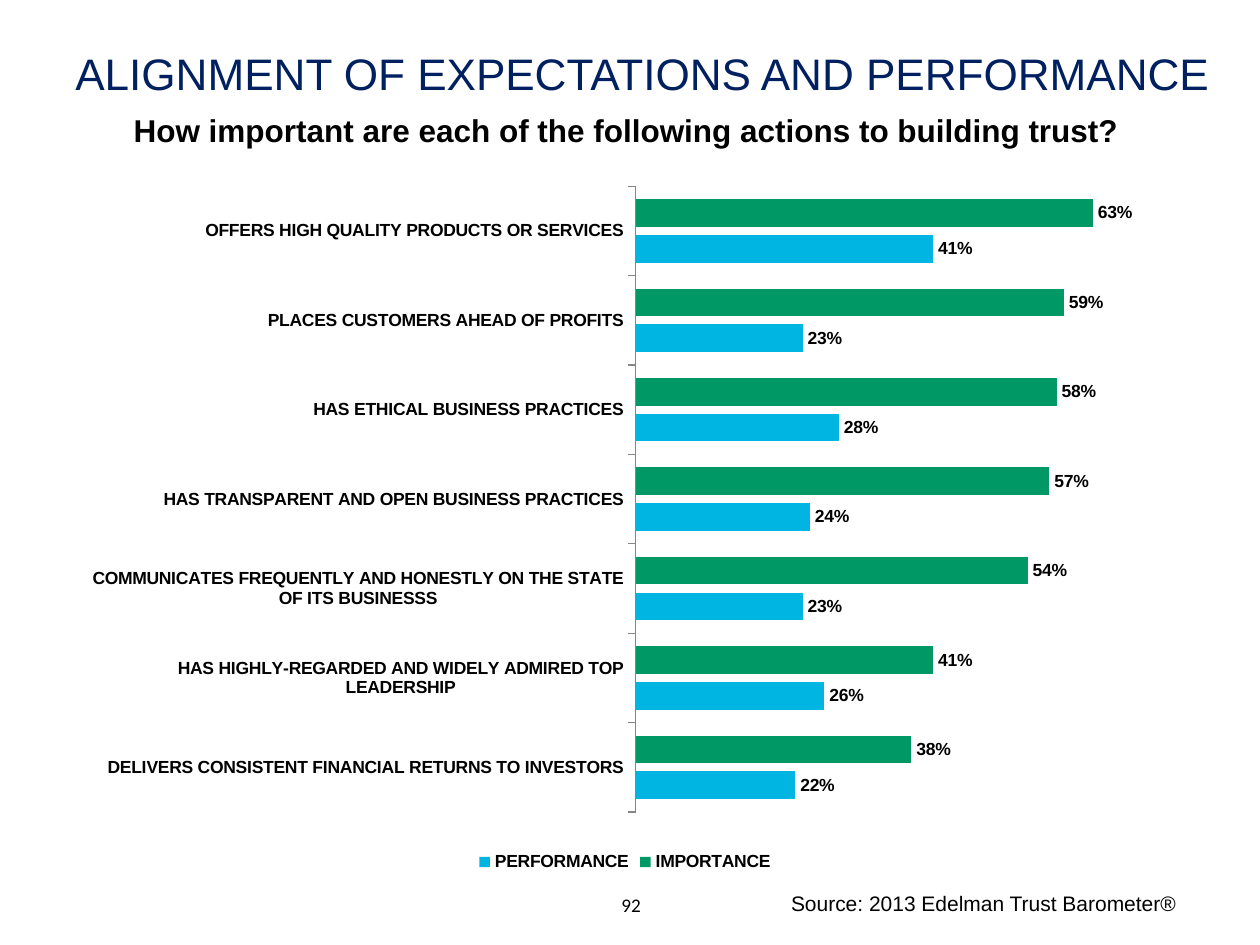
from lxml import etree
from pptx import Presentation
from pptx.chart.data import CategoryChartData
from pptx.dml.color import RGBColor
from pptx.enum.chart import XL_CHART_TYPE as ChartType, XL_LABEL_POSITION as LabelPos
from pptx.enum.chart import XL_LEGEND_POSITION as LegendPos, XL_TICK_LABEL_POSITION as TickLabelPos
from pptx.enum.chart import XL_TICK_MARK as TickMark
from pptx.enum.text import MSO_ANCHOR as Anchor, PP_ALIGN as Align
from pptx.oxml.ns import qn
from pptx.util import Inches, Pt

NAVY = RGBColor(0x00, 0x20, 0x60)
BLACK = RGBColor(0, 0, 0)
GRAY = RGBColor(0x86, 0x86, 0x86)
GREEN = RGBColor(0x00, 0x99, 0x66)
CYAN = RGBColor(0x00, 0xB5, 0xE2)

RATINGS = [  # action, importance, performance
    ("OFFERS HIGH QUALITY PRODUCTS OR SERVICES", 0.63, 0.41),
    ("PLACES CUSTOMERS AHEAD OF PROFITS", 0.59, 0.23),
    ("HAS ETHICAL BUSINESS PRACTICES", 0.58, 0.28),
    ("HAS TRANSPARENT AND OPEN BUSINESS PRACTICES", 0.57, 0.24),
    ("COMMUNICATES FREQUENTLY AND HONESTLY ON THE STATE OF ITS BUSINESSS", 0.54, 0.23),
    ("HAS HIGHLY-REGARDED AND WIDELY ADMIRED TOP LEADERSHIP", 0.41, 0.26),
    ("DELIVERS CONSISTENT FINANCIAL RETURNS TO INVESTORS", 0.38, 0.22),
]


def style_font(font, size, color=BLACK, bold=False, name="Arial"):
    font.name, font.size, font.bold = name, Pt(size), bold
    font.color.rgb = color


def inches(box):
    return [Inches(v) for v in box]


def add_title(s, box, text):
    sp = s.shapes.title
    sp.left, sp.top, sp.width, sp.height = inches(box)
    tf = sp.text_frame
    tf.text, tf.vertical_anchor = text, Anchor.BOTTOM
    p = tf.paragraphs[0]
    p.alignment = Align.CENTER
    style_font(p.font, 25.2, NAVY)


def add_text(s, box, text, size, align=Align.LEFT, anchor=Anchor.TOP, wrap=True, **font):
    tf = s.shapes.add_textbox(*inches(box)).text_frame
    tf.text, tf.word_wrap, tf.vertical_anchor = text, wrap, anchor
    p = tf.paragraphs[0]
    p.alignment = align
    style_font(p.font, size, **font)


def set_plot_layout(chart, x, y, w, h):
    """Fix the inner plot area, as shares of the chart."""
    area = chart._chartSpace.chart.plotArea
    for old in area.findall(qn("c:layout")):
        area.remove(old)
    layout = etree.Element(qn("c:layout"))
    area.insert(0, layout)
    manual = etree.SubElement(layout, qn("c:manualLayout"))
    for tag, val in (("layoutTarget", "inner"), ("xMode", "edge"), ("yMode", "edge"),
                     ("x", x), ("y", y), ("w", w), ("h", h)):
        etree.SubElement(manual, qn("c:" + tag)).set("val", str(val))


def add_ratings_chart(s, box):
    actions, importance, performance = zip(*RATINGS)
    data = CategoryChartData(number_format="0%")
    data.categories = actions
    data.add_series("IMPORTANCE", importance)
    data.add_series("PERFORMANCE", performance)
    chart = s.shapes.add_chart(ChartType.BAR_CLUSTERED, *inches(box), data).chart
    chart.has_title = False
    style_font(chart.font, 10)
    set_plot_layout(chart, 0.51, 0.04, 0.47, 0.87)

    # Axes
    cat, val = chart.category_axis, chart.value_axis
    cat.reverse_order = True
    cat.major_tick_mark = TickMark.OUTSIDE
    cat.format.line.color.rgb = GRAY
    style_font(cat.tick_labels.font, 10, bold=True)
    val.minimum_scale, val.maximum_scale = 0, 0.7
    val.has_major_gridlines = False
    val.major_tick_mark = TickMark.NONE
    val.tick_label_position = TickLabelPos.NONE
    val.format.line.fill.background()

    # Bars and value labels
    plot = chart.plots[0]
    plot.gap_width, plot.overlap, plot.vary_by_categories = 95, -30, False
    for series, color in zip(plot.series, (GREEN, CYAN)):
        series.format.fill.solid()
        series.format.fill.fore_color.rgb = color
        labels = series.data_labels
        labels.show_value = True
        labels.number_format, labels.number_format_is_linked = "0%", False
        labels.position = LabelPos.OUTSIDE_END
        style_font(labels.font, 10, bold=True)

    # Legend
    chart.has_legend = True
    chart.legend.position = LegendPos.BOTTOM
    chart.legend.include_in_layout = False
    style_font(chart.legend.font, 10, bold=True)


def main():
    prs = Presentation()
    prs.slide_width, prs.slide_height = Inches(10), Inches(7.5)
    s = prs.slides.add_slide(prs.slide_layouts[5])
    # Heading
    add_title(s, (0.42, 0.24, 9.36, 0.6), "ALIGNMENT OF EXPECTATIONS AND PERFORMANCE")
    add_text(s, (0.88, 0.83, 8.18, 0.4),
             "How important are each of the following actions to building trust?",
             18, Align.CENTER, wrap=False, bold=True)
    # Ratings
    add_ratings_chart(s, (0.67, 1.25, 8.58, 5.71))
    # Footer
    add_text(s, (6.18, 7.02, 3.6, 0.35), "Source: 2013 Edelman Trust Barometer®", 12)
    add_text(s, (4.58, 6.98, 0.86, 0.4), "92", 11, Align.CENTER, Anchor.MIDDLE, name="Calibri")
    prs.save("out.pptx")


if __name__ == "__main__":
    main()
